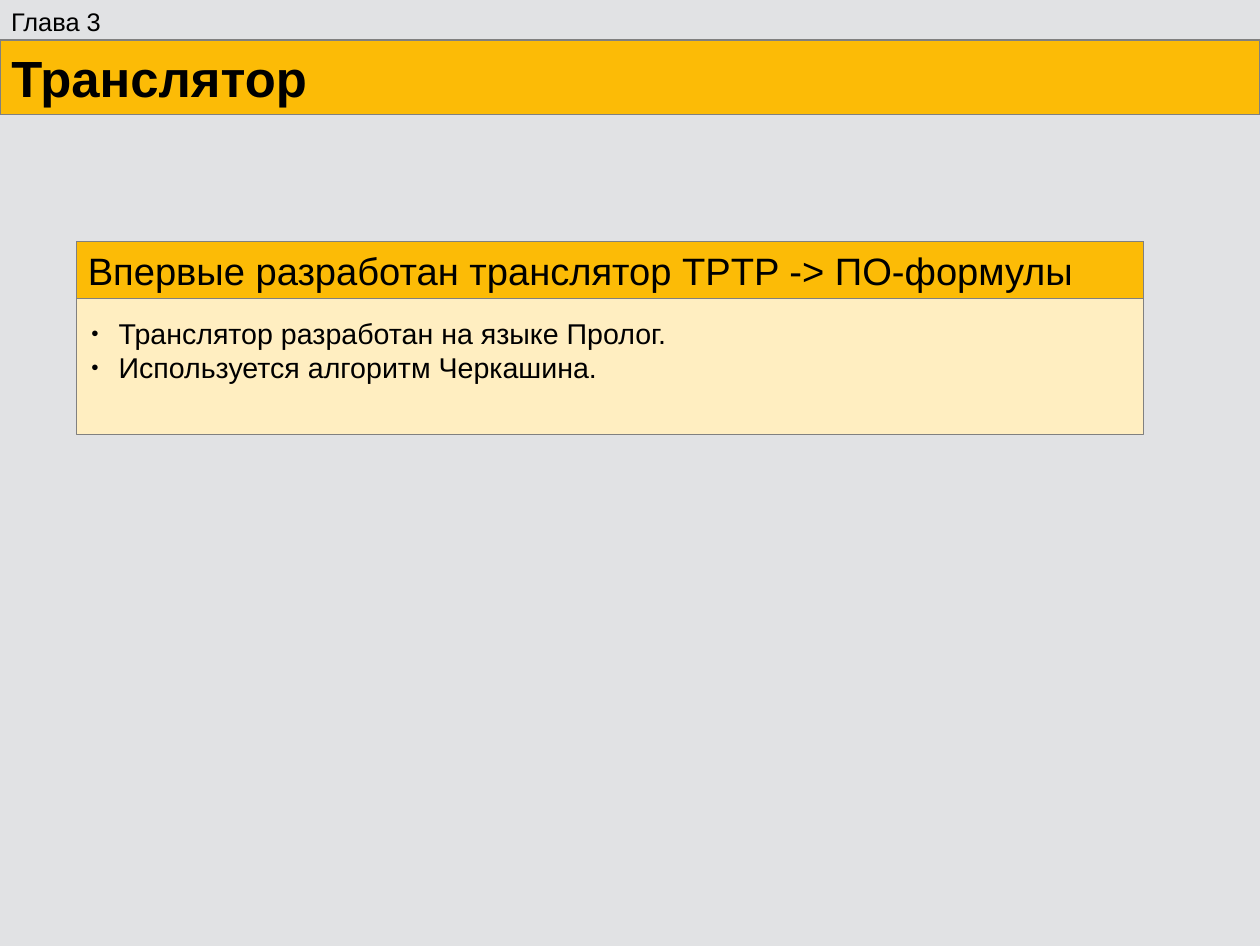
from lxml import etree
from pptx import Presentation
from pptx.dml.color import RGBColor
from pptx.enum.shapes import MSO_SHAPE
from pptx.enum.text import MSO_ANCHOR, PP_ALIGN
from pptx.oxml.ns import qn
from pptx.util import Inches, Pt

BACKGROUND = RGBColor(0xE1, 0xE2, 0xE4)
AMBER = RGBColor(0xFC, 0xBB, 0x06)
CREAM = RGBColor(0xFF, 0xEE, 0xC1)
GRAY = RGBColor(0x80, 0x80, 0x80)
BLACK = RGBColor(0, 0, 0)

SLIDE_W, SLIDE_H = 11.02, 8.27


def style(p, size, bold=False):
    p.alignment = PP_ALIGN.LEFT
    for r in p.runs:
        r.font.name = "Arial"
        r.font.size = Pt(size)
        r.font.bold = bold
        r.font.color.rgb = BLACK


def add_bullet(p, indent=0.24):
    pPr = p._p.get_or_add_pPr()
    pPr.set("marL", str(Inches(indent)))
    pPr.set("indent", str(-Inches(indent)))
    color = etree.SubElement(pPr, qn("a:buClr"))
    etree.SubElement(color, qn("a:srgbClr"), val=str(BLACK))
    etree.SubElement(pPr, qn("a:buSzPct"), val="45000")
    etree.SubElement(pPr, qn("a:buFont"), typeface="Arial")
    etree.SubElement(pPr, qn("a:buChar"), char="●")


def add_panel(slide, left, top, width, height, fill):
    sp = slide.shapes.add_shape(MSO_SHAPE.RECTANGLE, Inches(left), Inches(top),
                                Inches(width), Inches(height))
    sp.shadow.inherit = False
    sp.fill.solid()
    sp.fill.fore_color.rgb = fill
    sp.line.color.rgb = GRAY
    sp.line.width = Pt(0)
    return sp


def add_bar(slide, left, top, width, height, text, size, bold=False):
    sp = add_panel(slide, left, top, width, height, AMBER)
    tf = sp.text_frame
    tf.word_wrap = True
    tf.vertical_anchor = MSO_ANCHOR.MIDDLE
    tf.text = text
    style(tf.paragraphs[0], size, bold)


def add_text(slide, left, top, width, height, lines, size, bullets=False):
    box = slide.shapes.add_textbox(Inches(left), Inches(top),
                                   Inches(width), Inches(height))
    tf = box.text_frame
    tf.word_wrap = True
    tf.text = "\n".join(lines)
    for p in tf.paragraphs:
        if bullets:
            add_bullet(p)
        style(p, size)


def add_header(slide, left, top, width, chapter, title):
    add_bar(slide, left, top + 0.35, width, 0.65, title, 32, bold=True)
    add_text(slide, left, top, 1.2, 0.35, [chapter], 16)


def add_card(slide, left, top, width, height, heading, points):
    add_panel(slide, left, top, width, height, CREAM)
    add_bar(slide, left, top, width, 0.5, heading, 24)
    add_text(slide, left + 0.03, top + 0.6, 6.64, height - 0.6, points, 18, bullets=True)


def main():
    prs = Presentation()
    prs.slide_width = Inches(SLIDE_W)
    prs.slide_height = Inches(SLIDE_H)
    slide = prs.slides.add_slide(prs.slide_layouts[6])
    slide.background.fill.solid()
    slide.background.fill.fore_color.rgb = BACKGROUND

    add_header(slide, 0, 0, SLIDE_W, "Глава 3", "Транслятор")
    add_card(slide, 0.67, 2.11, 9.33, 1.69,
             "Впервые разработан транслятор TPTP -> ПО-формулы",
             ["Транслятор разработан на языке Пролог.",
              "Используется алгоритм Черкашина."])
    prs.save("out.pptx")


if __name__ == "__main__":
    main()
